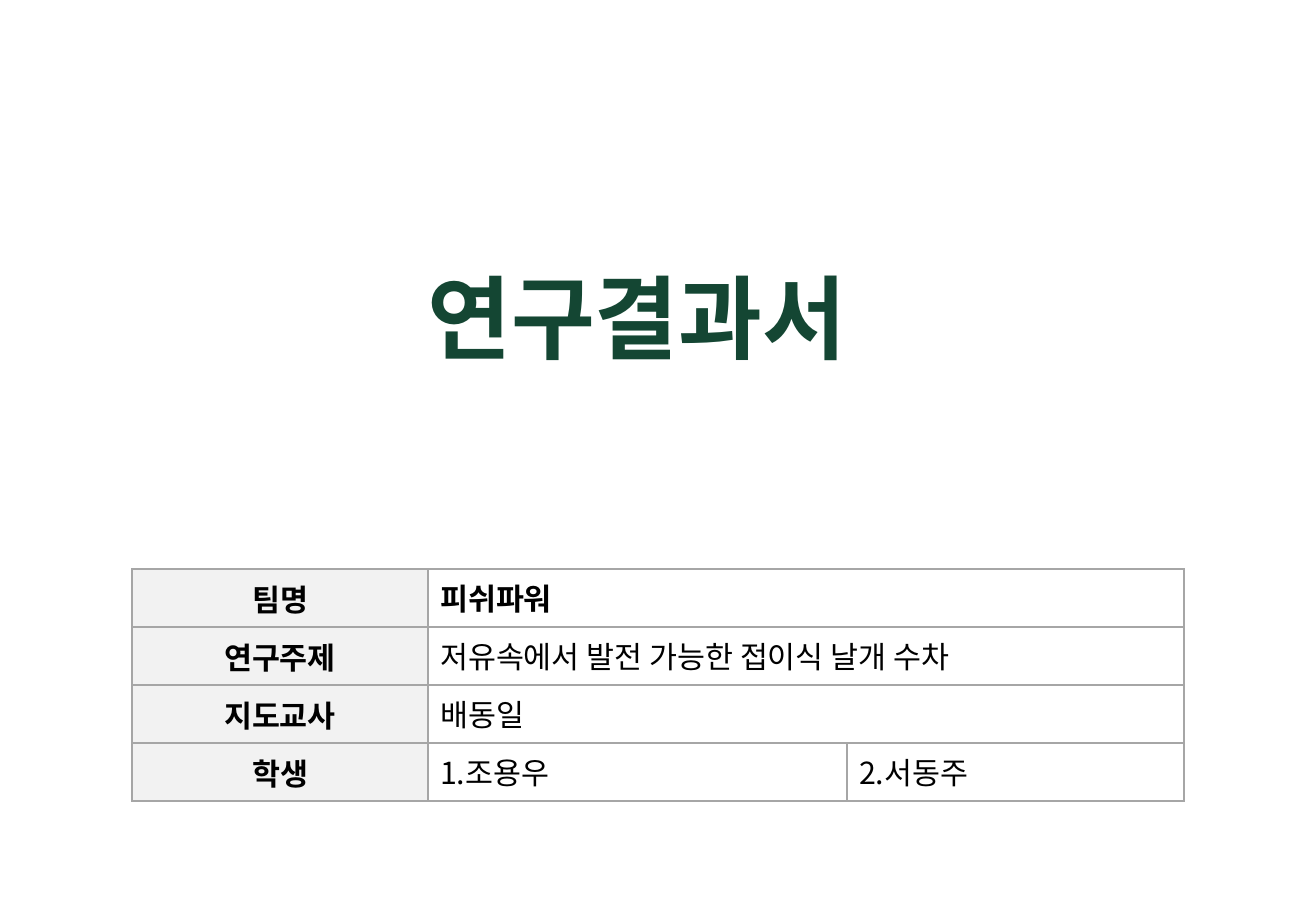
"""Build the cover slide of a research report with its team table."""
import pptx
import pptx.util
import pptx.dml.color
import pptx.enum.text
import pptx.oxml
import pptx.oxml.ns

TITLE = "연구결과서"
ROWS = [
    ("팀명", ["피쉬파워"], True),
    ("연구주제", ["저유속에서 발전 가능한 접이식 날개 수차"], False),
    ("지도교사", ["배동일"], False),
    ("학생", ["1.조용우", "2.서동주"], False),
]
COLORS = {"title": "144633", "text": "000000", "head": "F2F2F2",
          "value": "FFFFFF", "line": "A6A6A6"}
FONT = "Noto Sans CJK KR"
SIZE = (1316, 911)
TITLE_BOX = (415, 255, 485, 123)
GRID_POS = (132, 569)
COLS = [296, 419, 337]
ROW_H = 58
SCALE = 914400 / 121.5
ALIGN = pptx.enum.text.PP_ALIGN
ANCHOR = pptx.enum.text.MSO_ANCHOR


def px(num):
    """Turn pixels into EMU."""
    return pptx.util.Emu(round(num * SCALE))


def rgb(name):
    """Look up a named colour."""
    return pptx.dml.color.RGBColor.from_string(COLORS[name])


def style(frame, size, color, bold, align):
    """Format the text of a frame."""
    para = frame.paragraphs[0]
    para.alignment = align
    for run in para.runs:
        font = run.font
        font.size = pptx.util.Pt(size)
        font.bold = bold
        font.color.rgb = rgb(color)
        font.name = FONT
        east = pptx.oxml.parse_xml(
            f'<a:ea {pptx.oxml.ns.nsdecls("a")} typeface="{FONT}"/>')
        run.font._element.find(pptx.oxml.ns.qn("a:latin")).addnext(east)


def border(cell):
    """Draw a thin line on all four sides of a cell."""
    props = cell._tc.get_or_add_tcPr()
    for spot, side in enumerate(("lnL", "lnR", "lnT", "lnB")):
        props.insert(spot, pptx.oxml.parse_xml(
            f'<a:{side} {pptx.oxml.ns.nsdecls("a")} w="12700"><a:solidFill>'
            f'<a:srgbClr val="{COLORS["line"]}"/></a:solidFill></a:{side}>'))


def add_title(slide):
    """Place and format the title."""
    title = slide.shapes.title
    title.left, title.top, title.width, title.height = map(px, TITLE_BOX)
    frame = title.text_frame
    frame.text = TITLE
    frame.word_wrap = True
    frame.auto_size = pptx.enum.text.MSO_AUTO_SIZE.NONE
    frame.vertical_anchor = ANCHOR.MIDDLE
    style(frame, 54, "title", True, ALIGN.LEFT)


def add_grid(slide):
    """Add the team table."""
    left, top = map(px, GRID_POS)
    grid = slide.shapes.add_table(len(ROWS), len(COLS), left, top,
                                  px(sum(COLS)), px(ROW_H * len(ROWS))).table
    grid.first_row = grid.horz_banding = False
    for col, width in zip(grid.columns, COLS):
        col.width = px(width)
    for row, (head, values, bold) in enumerate(ROWS):
        grid.rows[row].height = px(ROW_H)
        if len(values) == 1:
            grid.cell(row, 1).merge(grid.cell(row, 2))
        for col in range(len(COLS)):
            cell = grid.cell(row, col)
            cell.fill.solid()
            cell.fill.fore_color.rgb = rgb("value" if col else "head")
            border(cell)
        for col, text in enumerate([head] + values):
            cell = grid.cell(row, col)
            cell.text_frame.text = text
            cell.vertical_anchor = ANCHOR.TOP if col else ANCHOR.MIDDLE
            style(cell.text_frame, 18, "text", bold or col == 0,
                  ALIGN.LEFT if col else ALIGN.CENTER)


def main():
    """Build and save the deck."""
    deck = pptx.Presentation()
    deck.slide_width, deck.slide_height = map(px, SIZE)
    slide = deck.slides.add_slide(deck.slide_layouts[5])
    add_title(slide)
    add_grid(slide)
    deck.save("out.pptx")


if __name__ == "__main__":
    main()
